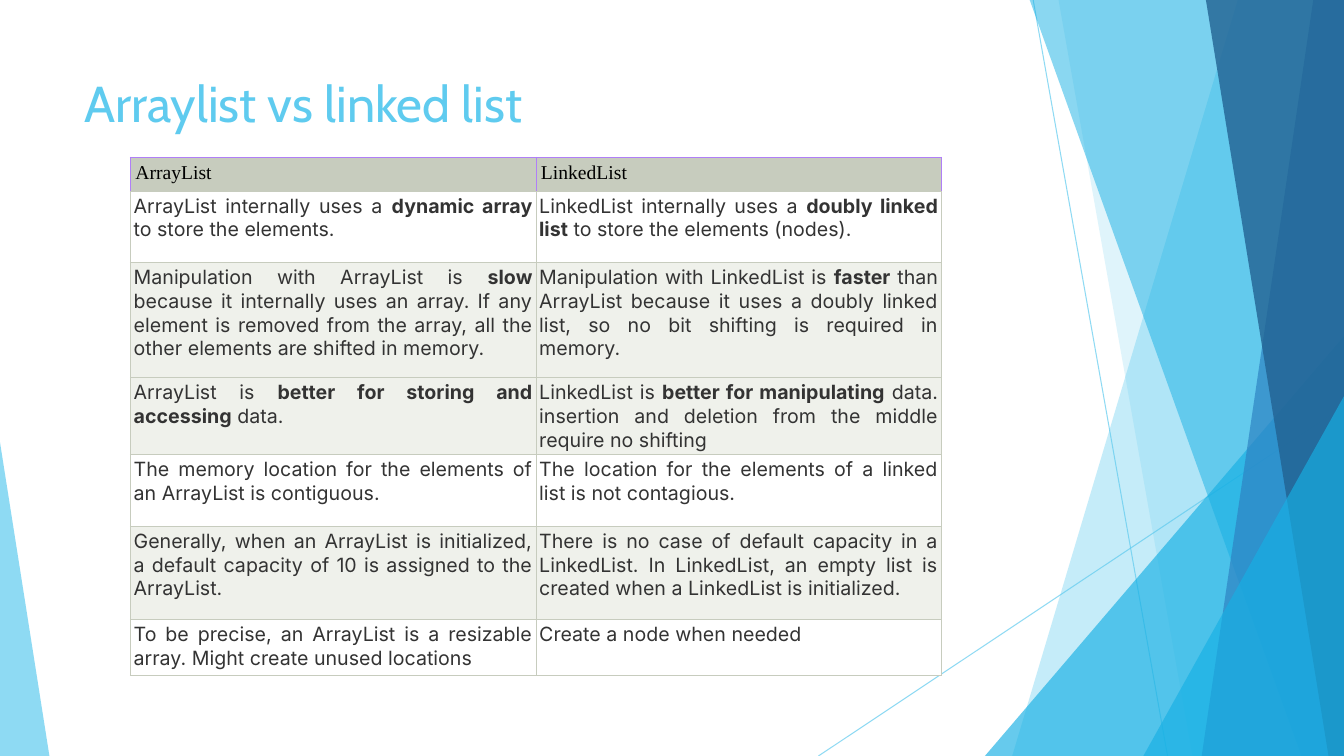
from pptx import Presentation
from pptx.dml.color import RGBColor
from pptx.enum.shapes import MSO_CONNECTOR, MSO_SHAPE
from pptx.enum.text import PP_ALIGN
from pptx.oxml.ns import qn
from pptx.util import Pt
from lxml import etree

STRAIGHT = MSO_CONNECTOR.STRAIGHT
TRIANGLE = MSO_SHAPE.ISOSCELES_TRIANGLE
LEFT, JUSTIFY = PP_ALIGN.LEFT, PP_ALIGN.JUSTIFY

SKY = RGBColor(0x5F, 0xCB, 0xEF)
CYAN = RGBColor(0x17, 0xB0, 0xE4)
BLUE = RGBColor(0x2E, 0x83, 0xC3)
NAVY = RGBColor(0x22, 0x62, 0x92)
SAGE = RGBColor(0xC7, 0xCC, 0xBE)
PALE = RGBColor(0xEF, 0xF1, 0xEB)
WHITE = RGBColor(0xFF, 0xFF, 0xFF)
BLACK = RGBColor(0, 0, 0)
GREY = RGBColor(0x33, 0x33, 0x33)
PURPLE = RGBColor(0xB0, 0x7F, 0xF7)

WIDE, HIGH, TOP = 960, 540, -0.6
HEADS = ["ArrayList", "LinkedList"]
HEAD_HIGH = 21.6
ROWS = [
    (51.2, WHITE,
     ["ArrayList internally uses a ", "dynamic array", " to store the elements."],
     ["LinkedList internally uses a ", "doubly linked list",
      " to store the elements (nodes)."]),
    (82, PALE,
     ["Manipulation with ArrayList is ", "slow",
      " because it internally uses an array. If any element is removed from the array, "
      "all the other elements are shifted in memory."],
     ["Manipulation with LinkedList is ", "faster",
      " than ArrayList because it uses a doubly linked list, "
      "so no bit shifting is required in memory."]),
    (35.3, PALE,
     ["ArrayList is ", "better for storing and accessing", " data."],
     ["LinkedList is ", "better for manipulating",
      " data. insertion and deletion from the middle require no shifting"]),
    (51.2, WHITE,
     ["The memory location for the elements of an ArrayList is contiguous."],
     ["The location for the elements of a linked list is not contagious."]),
    (66.5, PALE,
     ["Generally, when an ArrayList is initialized, a default capacity of 10 "
      "is assigned to the ArrayList."],
     ["There is no case of default capacity in a LinkedList. In LinkedList, "
      "an empty list is created when a LinkedList is initialized."]),
    (39.8, WHITE,
     ["To be precise, an ArrayList is a resizable array. Might create unused locations"],
     ["Create a node when needed"]),
]


def fade(shape, share):
    """Set the opacity, in percent, of every colour in a shape."""
    for tint in shape.element.spPr.iter(qn("a:srgbClr")):
        etree.SubElement(tint, qn("a:alpha"), val=str(share * 1000))


def paint(shape, color, share):
    """Give a shape a see-through fill, no outline and no shadow."""
    shape.shadow.inherit = False
    shape.fill.solid()
    shape.fill.fore_color.rgb = color
    shape.line.fill.background()
    fade(shape, share)


def add_line(slide, start, end):
    """Draw a thin, faint line between two points."""
    line = slide.shapes.add_connector(STRAIGHT, *map(Pt, start + end))
    line.line.color.rgb = SKY
    line.line.width = Pt(0.75)
    fade(line, 70)
    etree.SubElement(line.element.spPr, qn("a:effectLst"))


def add_band(slide, top, foot, color, share):
    """Draw a band from a slanted left edge to the right edge of the slide."""
    pen = slide.shapes.build_freeform(Pt(top), Pt(TOP), scale=1.0)
    spots = [(WIDE, TOP), (WIDE, HIGH), (foot, HIGH)]
    pen.add_line_segments([(Pt(x), Pt(y)) for x, y in spots], close=True)
    paint(pen.convert_to_shape(), color, share)


def add_wedge(slide, left, top, width, peak, color, share):
    """Draw a triangle that stands on the bottom edge of the slide."""
    box = map(Pt, (left, top, width, HIGH - top))
    wedge = slide.shapes.add_shape(TRIANGLE, *box)
    wedge.adjustments[0] = peak
    paint(wedge, color, share)


def add_run(para, text, face, size, color, bold=False):
    """Add one styled run to a paragraph."""
    run = para.add_run()
    run.text = text
    font = run.font
    font.name, font.size, font.bold = face, Pt(size), bold
    font.color.rgb = color


def add_title(slide, text):
    """Add the slide title."""
    box = slide.shapes.add_textbox(Pt(53.3), Pt(48.2), Pt(676.8), Pt(103.7))
    box.text_frame.word_wrap = True
    add_run(box.text_frame.paragraphs[0], text, "Cabin", 36, SKY)


def frame_cell(cell, sides, foot):
    """Draw the four borders of a cell."""
    props = cell._tc.get_or_add_tcPr()
    for side, color in zip("LRTB", (sides, sides, sides, foot)):
        edge = etree.SubElement(props, qn("a:ln" + side), w=str(Pt(0.6)))
        fill = etree.SubElement(edge, qn("a:solidFill"))
        etree.SubElement(fill, qn("a:srgbClr"), val=str(color))


def fill_cell(cell, parts, face, ink, back, sides, inset, align):
    """Style a cell and write its parts, each second one bold."""
    frame_cell(cell, sides, SAGE)
    cell.fill.solid()
    cell.fill.fore_color.rgb = back
    cell.margin_left = cell.margin_right = Pt(inset)
    cell.margin_top = cell.margin_bottom = Pt(inset)
    para = cell.text_frame.paragraphs[0]
    para.alignment = align
    for spot, part in enumerate(parts):
        add_run(para, part, face, 14, ink, spot % 2 == 1)


def add_grid(slide):
    """Add the table that compares the two lists."""
    highs = [HEAD_HIGH] + [row[0] for row in ROWS]
    box = map(Pt, (93.1, 112.3, 579.4, sum(highs)))
    table = slide.shapes.add_table(len(highs), len(HEADS), *box).table
    table.first_row = table.horz_banding = False
    for row, high in zip(table.rows, highs):
        row.height = Pt(high)
    for col, head in enumerate(HEADS):
        fill_cell(table.cell(0, col), [head], "Times New Roman", BLACK,
                  SAGE, PURPLE, 3.6, LEFT)
    for row, (_, back, *texts) in enumerate(ROWS, 1):
        for col, parts in enumerate(texts):
            fill_cell(table.cell(row, col), parts, "Inter", GREY,
                      back, SAGE, 2.4, JUSTIFY)


def main():
    """Build the slide and save it."""
    deck = Presentation()
    deck.slide_width, deck.slide_height = Pt(WIDE), Pt(HIGH)
    slide = deck.slides.add_slide(deck.slide_layouts[6])
    add_line(slide, (738, 0), (834, HIGH))
    add_line(slide, (WIDE, 290), (584.6, HIGH))
    add_band(slide, 884.3, 723, SKY, 36)
    add_band(slide, 756, 851.8, SKY, 20)
    add_wedge(slide, 703.5, 240, 256.5, 1, CYAN, 66)
    add_band(slide, 735.3, 929.5, CYAN, 50)
    add_band(slide, 938.2, 858.4, BLUE, 70)
    add_band(slide, 861.3, 949, NAVY, 80)
    add_wedge(slide, 816.7, 283, 143.3, 1, CYAN, 66)
    add_wedge(slide, 0, 316, 35.3, 0, SKY, 70)
    add_title(slide, "Arraylist vs linked list")
    add_grid(slide)
    deck.save("out.pptx")


if __name__ == "__main__":
    main()
